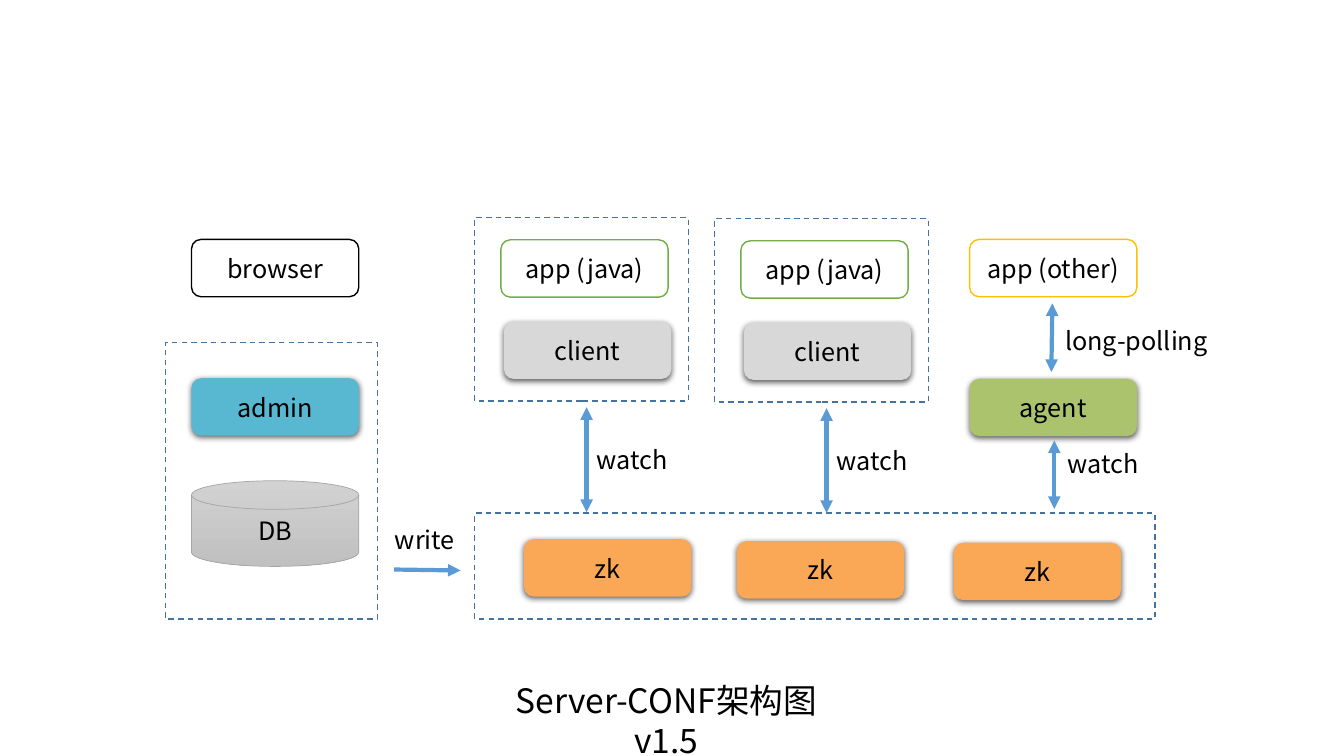
"""Build the Server-CONF architecture slide."""
import pptx
import pptx.dml.color
import pptx.enum.dml
import pptx.enum.shapes
import pptx.enum.text
import pptx.oxml
import pptx.oxml.ns
import pptx.util

Pt = pptx.util.Pt
SHAPE = pptx.enum.shapes.MSO_SHAPE
ALIGN = pptx.enum.text.PP_ALIGN
ANCHOR = pptx.enum.text.MSO_ANCHOR

COLORS = {
    "text": "000000", "white": "FFFFFF", "frame": "43739E", "arrow": "5B9BD5",
    "zk": "FAA756", "admin": "58B8D1", "agent": "ABC36C", "client": "D8D8D8",
    "java": "70AD47", "other": "FFC000",
    "disk_top": "D2D2D2", "disk_bottom": "C0C0C0", "disk_line": "A5A5A5",
}
FONT = "Noto Sans CJK SC"
BOX_W, BOX_H = 119.5, 41


def rgb(name):
    return pptx.dml.color.RGBColor.from_string(COLORS[name])


def element(tag, rest="/>"):
    return pptx.oxml.parse_xml(f"<a:{tag} {pptx.oxml.ns.nsdecls('a')} {rest}")


class Diagram:
    def __init__(self, slide):
        self.s = slide

    def set_text(self, sp, text, size=18, align=ALIGN.CENTER):
        tf = sp.text_frame
        tf.text = text
        p = tf.paragraphs[0]
        p.alignment = align
        p.line_spacing = Pt(size * 1.2)
        for r in p.runs:
            r.font.size = Pt(size)
            r.font.color.rgb = rgb("text")
            r.font.name = FONT
            r.font._element.append(element("ea", f'typeface="{FONT}"/>'))

    def shape(self, kind, x, y, w, h):
        sp = self.s.shapes.add_shape(kind, Pt(x), Pt(y), Pt(w), Pt(h))
        sp.shadow.inherit = False
        sp.text_frame.vertical_anchor = ANCHOR.MIDDLE
        return sp

    def outline(self, sp, color, width=1):
        sp.line.color.rgb = rgb(color)
        sp.line.width = Pt(width)

    def frame(self, x, y, w, h):
        sp = self.shape(SHAPE.RECTANGLE, x, y, w, h)
        sp.fill.background()
        self.outline(sp, "frame")
        sp.line.dash_style = pptx.enum.dml.MSO_LINE.DASH

    def box(self, text, x, y, fill="white", line=None):
        sp = self.shape(SHAPE.FLOWCHART_ALTERNATE_PROCESS, x, y, BOX_W, BOX_H)
        sp.fill.solid()
        sp.fill.fore_color.rgb = rgb(fill)
        if line:
            self.outline(sp, line)
        else:
            sp.line.fill.background()
            effects = sp._element.spPr.find(pptx.oxml.ns.qn("a:effectLst"))
            effects.append(element(
                "outerShdw",
                f'blurRad="{Pt(4.5)}" dist="{Pt(1.5)}" dir="5400000" rotWithShape="0">'
                '<a:srgbClr val="000000"><a:alpha val="63000"/></a:srgbClr></a:outerShdw>'))
        self.set_text(sp, text)

    def disk(self, text, x, y, h):
        sp = self.shape(SHAPE.FLOWCHART_MAGNETIC_DISK, x, y, BOX_W, h)
        sp.fill.gradient()
        sp.fill.gradient_angle = 270
        for stop, color in zip(sp.fill.gradient_stops, ("disk_top", "disk_bottom")):
            stop.color.rgb = rgb(color)
        self.outline(sp, "disk_line", 0.5)
        self.set_text(sp, text)

    def label(self, text, x, y, w, h=28.8, size=18, align=ALIGN.LEFT):
        sp = self.s.shapes.add_textbox(Pt(x), Pt(y), Pt(w), Pt(h))
        sp.text_frame.word_wrap = False
        self.set_text(sp, text, size, align)

    def arrow(self, x1, y1, x2, y2, both=True):
        c = self.s.shapes.add_connector(
            pptx.enum.shapes.MSO_CONNECTOR.STRAIGHT, Pt(x1), Pt(y1), Pt(x2), Pt(y2))
        self.outline(c, "arrow", 3)
        ln = c.line._get_or_add_ln()
        for end in ("headEnd", "tailEnd") if both else ("tailEnd",):
            ln.append(element(end, 'type="triangle"/>'))
        c._element.spPr.append(element("effectLst"))


def main():
    prs = pptx.Presentation()
    prs.slide_width, prs.slide_height = Pt(960), Pt(540)
    d = Diagram(prs.slides.add_slide(prs.slide_layouts[6]))

    d.label("Server-CONF架构图\vv1.5", 329.8, 482, 292.3, 36, 24, ALIGN.CENTER)

    d.box("browser", 136.8, 171, line="text")
    d.frame(118, 244.8, 151.5, 197.3)
    d.box("admin", 136.8, 270.2, "admin")
    d.disk("DB", 136.8, 343.4, 61.2)
    d.arrow(281.5, 406.8, 329, 407.5, both=False)
    d.label("write", 275, 370.8, 57.6)

    d.frame(339.1, 366.5, 486, 75.6)
    for x, y in ((374.4, 385.2), (526.3, 386.6), (681.1, 387.7)):
        d.box("zk", x, y, "zk")

    for x, y in ((339.1, 155.5), (510.5, 156.2)):
        d.frame(x, y, 152.6, 131)
        d.box("app (java)", x + 18.7, y + 15.8, line="java")
        d.box("client", x + 20.9, y + 74.2, "client")
        d.arrow(x + 79.9, y + 135.4, x + 79.9, y + 210.3)
        d.label("watch", x + 79.9, y + 158.4, 66.2)

    d.box("app (other)", 692.6, 171, line="other")
    d.arrow(751.7, 216.7, 751, 265.7)
    d.label("long-polling", 753.8, 229, 122.4)
    d.box("agent", 692.6, 270.5, "agent")
    d.arrow(753.1, 314.6, 753.1, 363.6)
    d.label("watch", 755.3, 316.8, 66.2)

    prs.save("out.pptx")


if __name__ == "__main__":
    main()
